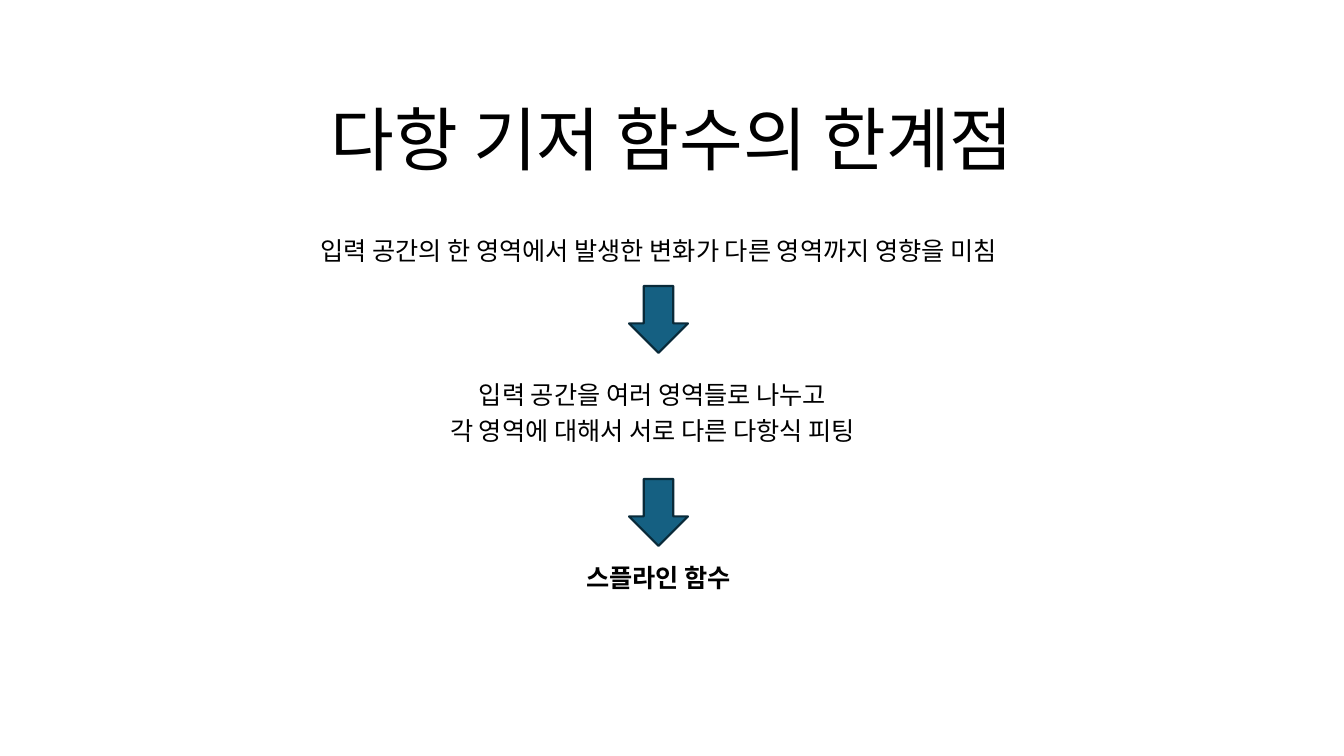
from lxml import etree
from pptx import Presentation
from pptx import util as u
from pptx.dml.color import RGBColor
from pptx.enum import shapes, text
from pptx.oxml.ns import qn

PX = 914400 / 100.8
FONT = "Noto Sans CJK KR"


def px(*lengths):
    return [u.Emu(round(n * PX)) for n in lengths]


def write(box, wording, size, spacing, after, bold=False):
    frame = box.text_frame
    frame.text = wording
    frame.word_wrap = True
    frame.auto_size = text.MSO_AUTO_SIZE.NONE
    frame.vertical_anchor = text.MSO_ANCHOR.BOTTOM
    for paragraph in frame.paragraphs:
        paragraph.alignment = text.PP_ALIGN.CENTER
        paragraph.line_spacing = spacing
        paragraph.space_after = u.Pt(after)
        for run in paragraph.runs:
            run.font.name = FONT
            run.font.size = u.Pt(size)
            run.font.bold = bold
            run.font.color.rgb = RGBColor.from_string("000000")
            # Hangul takes the East Asian typeface
            etree.SubElement(run.font._element, qn("a:ea"), typeface=FONT)


prs = Presentation()
prs.slide_width, prs.slide_height = px(1344, 756)
slide = prs.slides.add_slide(prs.slide_layouts[5])

# Title
title = slide.shapes.title
title.left, title.top, title.width, title.height = px(172, 108, 1000, 74)
write(title, "다항 기저 함수의 한계점", 49.5, 0.7, 0)

# Problem, approach and result
steps = [
    (222, 197, 873, "입력 공간의 한 영역에서 발생한 변화가 다른 영역까지 영향을 미침", 0.9, False),
    (408, 376, 489, "입력 공간을 여러 영역들로 나누고\n각 영역에 대해서 서로 다른 다항식 피팅", 0.8, False),
    (414, 524, 489, "스플라인 함수", 0.9, True),
]
for left, top, width, wording, spacing, bold in steps:
    step = slide.shapes.add_textbox(*px(left, top, width, 74))
    write(step, wording, 18, spacing, 8, bold)

# Arrows between the steps
for top in (286, 479):
    arrow = slide.shapes.add_shape(shapes.MSO_SHAPE.DOWN_ARROW, *px(629, top, 59, 67))
    arrow.shadow.inherit = False
    arrow.fill.solid()
    arrow.fill.fore_color.rgb = RGBColor.from_string("156082")
    arrow.line.color.rgb = RGBColor.from_string("092A39")
    arrow.line.width = u.Pt(1.5)

prs.save("out.pptx")
